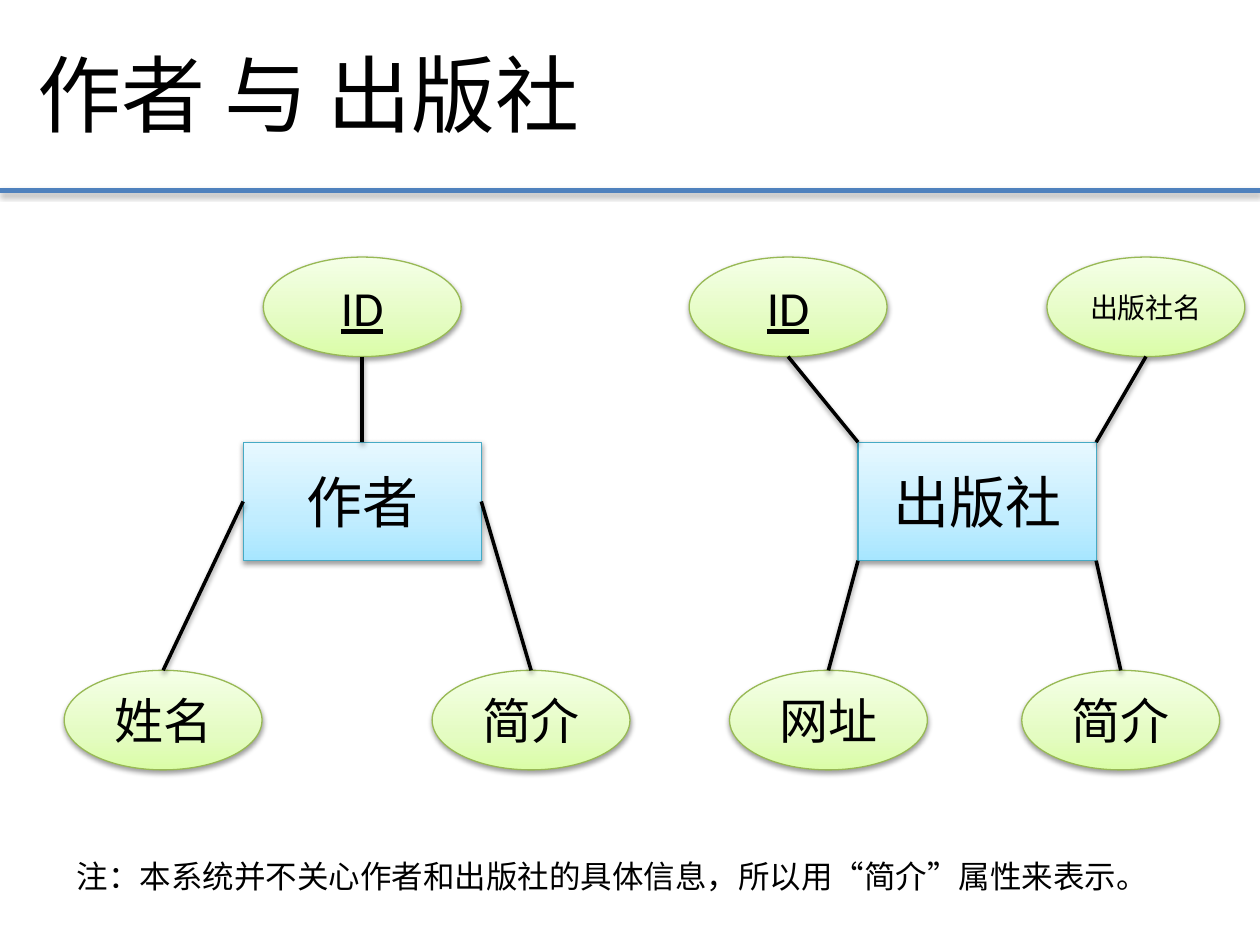
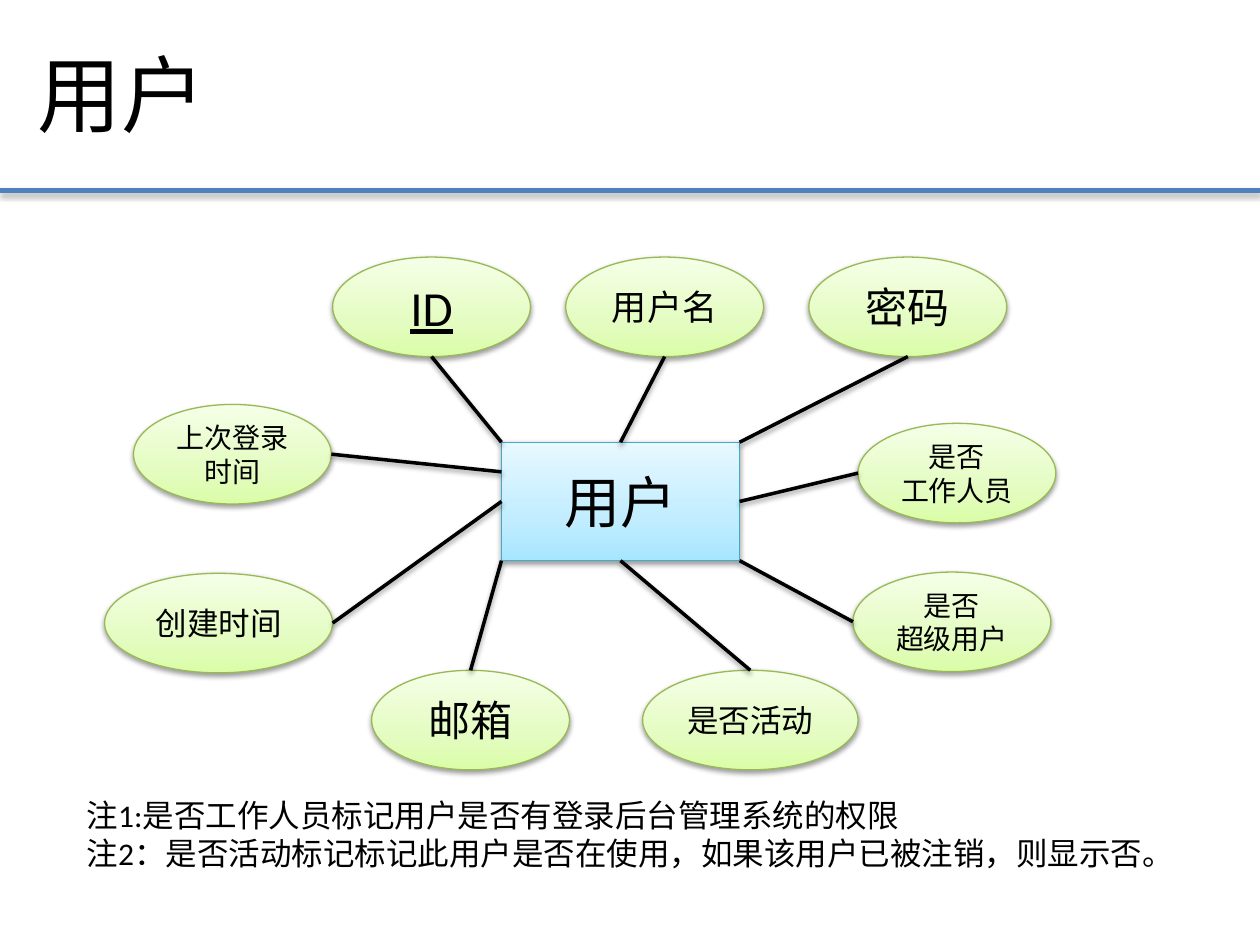
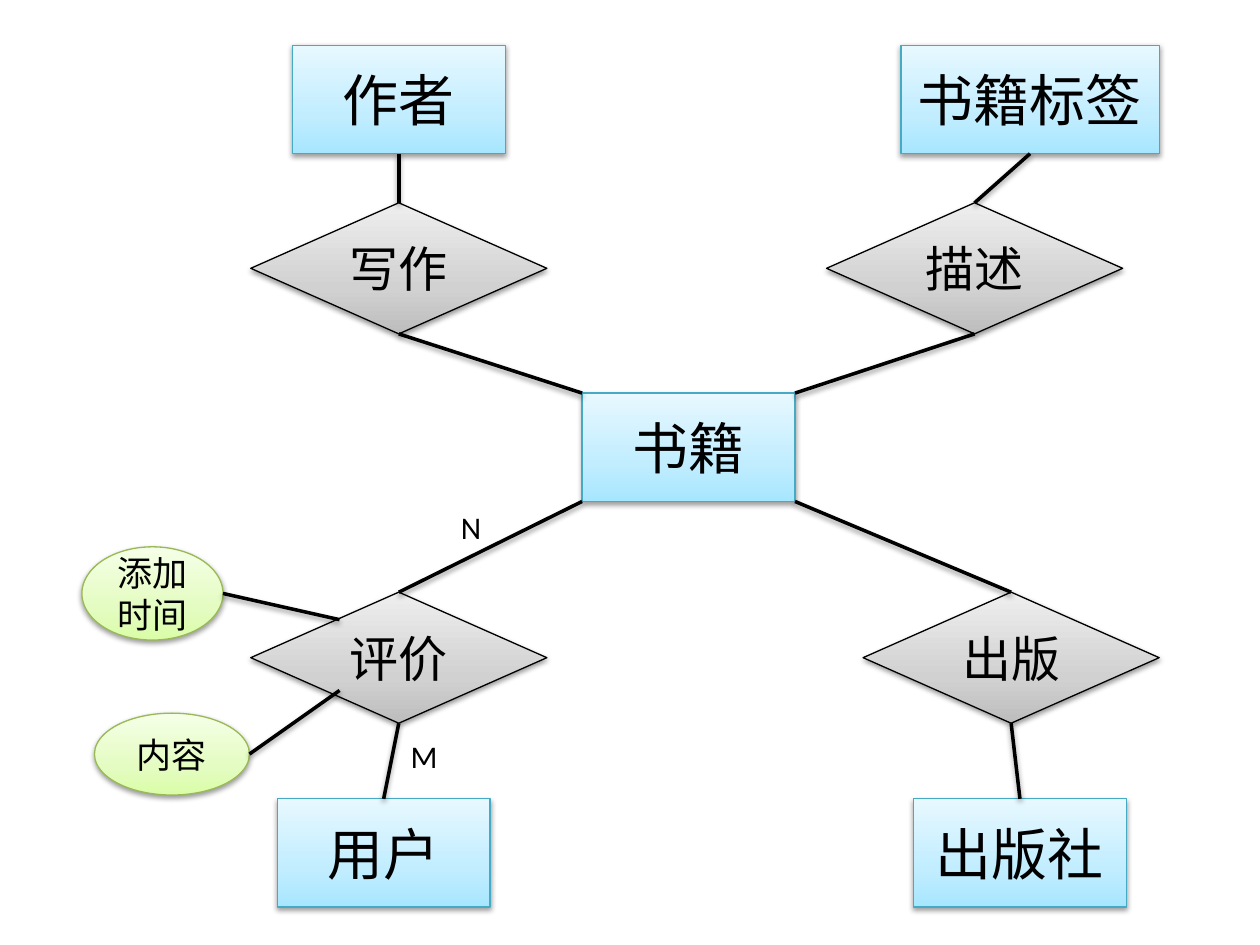
from pptx import Presentation
from pptx.dml.color import RGBColor
from pptx.enum.shapes import MSO_CONNECTOR, MSO_SHAPE
from pptx.enum.text import MSO_ANCHOR, MSO_AUTO_SIZE, PP_ALIGN
from pptx.oxml import parse_xml
from pptx.oxml.ns import nsdecls, qn
from pptx.util import Inches, Pt

# Shared look
COLORS = {"text": "000000", "link": "000000", "paper": "FFFFFF", "rule": "4F81BD"}
FONT, TITLE_FONT = "Calibri", "Noto Sans CJK JP"
TITLE_BOX = (0.2, 0.29, 9.37, 0.91)
RULE_Y = 1.51

# Diagram kinds: preset, gradient from bottom to top, outline, default text size
KINDS = {
    "entity": (MSO_SHAPE.RECTANGLE, ("A7E6FF", "C1EDFF", "E7F8FF"), "46AAC5", 32),
    "attribute": (MSO_SHAPE.OVAL, ("DAFDA7", "E4FCC2", "F5FFE7"), "98B955", 28),
    "relation": (MSO_SHAPE.DIAMOND, ("BDBDBD", "D1D1D1", "EEEEEE"), "000000", 28),
}
STOPS = (0, 35, 100)

# Anchor points as fractions of a node's width and height
T, B, L, R = (0.5, 0), (0.5, 1), (0, 0.5), (1, 0.5)
TL, TR, BL, BR = (0, 0), (1, 0), (0, 1), (1, 1)

# Node sizes and rows
ENTITY, ATTR, RELATION, SMALL_ENTITY = (1.89, 0.94), (1.57, 0.79), (2.35, 1.04), (1.69, 0.86)
UPPER, MIDDLE, LOWER = 2.04, 3.51, 5.32

# Nodes: key -> (kind, text, (left, top), (width, height)[, text size])
# Links: (from key, anchor, to key, anchor)
# Notes: (text, left, top, width, height)
SLIDES = [
    {
        "title": "作者 与 出版社",
        "nodes": {
            "author": ("entity", "作者", (1.93, MIDDLE), ENTITY),
            "author id": ("attribute", "ID", (2.09, UPPER), ATTR),
            "name": ("attribute", "姓名", (0.51, LOWER), ATTR),
            "author intro": ("attribute", "简介", (3.43, LOWER), ATTR),
            "press": ("entity", "出版社", (6.81, MIDDLE), ENTITY),
            "press id": ("attribute", "ID", (5.47, UPPER), ATTR),
            "press intro": ("attribute", "简介", (8.11, LOWER), ATTR),
            "press name": ("attribute", "出版社名", (8.31, UPPER), ATTR, 16),
            "site": ("attribute", "网址", (5.79, LOWER), ATTR),
        },
        "links": [
            ("author id", B, "author", T), ("author", L, "name", T),
            ("author", R, "author intro", T), ("press id", B, "press", TL),
            ("press name", B, "press", TR), ("press", BL, "site", T),
            ("press", BR, "press intro", T),
        ],
        "notes": [("注：本系统并不关心作者和出版社的具体信息，所以用“简介”属性来表示。",
                   0.51, 6.75, 9.06, 0.4)],
    },
    {
        "title": "用户",
        "nodes": {
            "user": ("entity", "用户", (3.98, MIDDLE), ENTITY),
            "id": ("attribute", "ID", (2.64, UPPER), ATTR),
            "password": ("attribute", "密码", (6.42, UPPER), ATTR, 24),
            "user name": ("attribute", "用户名", (4.49, UPPER), ATTR, 20),
            "mail": ("attribute", "邮箱", (2.95, LOWER), ATTR, 24),
            "staff": ("attribute", "是否\n工作人员", (6.81, 3.36), ATTR, 16),
            "superuser": ("attribute", "是否\n超级用户", (6.77, 4.54), ATTR, 16),
            "active": ("attribute", "是否活动", (5.1, LOWER), (1.71, 0.79), 18),
            "last login": ("attribute", "上次登录时间", (1.06, 3.21), ATTR, 16),
            "created": ("attribute", "创建时间", (0.83, 4.55), (1.81, 0.79), 18),
        },
        "links": [
            ("id", B, "user", TL), ("user name", B, "user", T),
            ("user", BL, "mail", T), ("password", B, "user", TR),
            ("last login", R, "user", (0, 0.25)), ("created", R, "user", L),
            ("user", B, "active", T), ("user", BR, "superuser", L),
            ("user", R, "staff", L),
        ],
        "notes": [("注1:是否工作人员标记用户是否有登录后台管理系统的权限\n"
                   "注2：是否活动标记标记此用户是否在使用，如果该用户已被注销，则显示否。",
                   0.59, 6.27, 8.66, 0.71)],
    },
    {
        "title": None,
        "nodes": {
            "book": ("entity", "书籍", (4.62, 3.12), SMALL_ENTITY),
            "write": ("relation", "写作", (1.99, 1.61), RELATION),
            "describe": ("relation", "描述", (6.56, 1.61), RELATION),
            "review": ("relation", "评价", (1.99, 4.7), RELATION),
            "publish": ("relation", "出版", (6.85, 4.7), RELATION),
            "author": ("entity", "作者", (2.32, 0.36), SMALL_ENTITY),
            "tag": ("entity", "书籍标签", (7.15, 0.36), (2.05, 0.86)),
            "user": ("entity", "用户", (2.2, 6.34), SMALL_ENTITY),
            "press": ("entity", "出版社", (7.25, 6.34), SMALL_ENTITY),
            "content": ("attribute", "内容", (0.75, 5.66), (1.23, 0.65), 20),
            "added": ("attribute", "添加时间", (0.65, 4.34), (1.12, 0.74), 20),
        },
        "links": [
            ("write", B, "book", TL), ("describe", B, "book", TR),
            ("book", BL, "review", T), ("book", BR, "publish", T),
            ("author", B, "write", T), ("tag", B, "describe", T),
            ("review", B, "user", T), ("press", T, "publish", B),
            ("added", R, "review", (0.3, 0.21)),
            ("content", R, "review", (0.3, 0.75)),
        ],
        "notes": [("N", 3.56, 3.98, 0.55, 0.4), ("M", 3.16, 5.8, 0.55, 0.4)],
    },
]


def rgb(value):
    return RGBColor.from_string(value)


def add_shadow(sp, alpha=38, dist=1.6):
    """Soft shadow straight below the shape."""
    sp._element.spPr.append(parse_xml(
        f'<a:effectLst {nsdecls("a")}><a:outerShdw blurRad="{Pt(3.1)}" dist="{Pt(dist)}" '
        f'dir="5400000" rotWithShape="0"><a:srgbClr val="000000">'
        f'<a:alpha val="{alpha * 1000}"/></a:srgbClr></a:outerShdw></a:effectLst>'))


def add_gradient(sp, colors):
    stops = "".join(f'<a:gs pos="{pos * 1000}"><a:srgbClr val="{c}"/></a:gs>'
                    for pos, c in zip(STOPS, colors))
    sp._element.spPr.find(qn("a:prstGeom")).addnext(parse_xml(
        f'<a:gradFill {nsdecls("a")} rotWithShape="1"><a:gsLst>{stops}</a:gsLst>'
        f'<a:lin ang="16200000" scaled="0"/></a:gradFill>'))


def write(tf, text, size, font=FONT, align=PP_ALIGN.LEFT, underline=None):
    tf.text = text
    tf.word_wrap = True
    for p in tf.paragraphs:
        p.alignment = align
        for r in p.runs:
            r.font.name, r.font.size = font, Pt(size)
            r.font.underline = underline
            r.font.color.rgb = rgb(COLORS["text"])


def add_line(slide, start, end, color, width, **shadow):
    line = slide.shapes.add_connector(MSO_CONNECTOR.STRAIGHT, *map(Inches, start + end))
    line.line.color.rgb = rgb(color)
    line.line.width = Pt(width)
    add_shadow(line, **shadow)


def add_title(slide, text):
    sp = slide.shapes.title
    sp.left, sp.top, sp.width, sp.height = map(Inches, TITLE_BOX)
    sp.fill.solid()
    sp.fill.fore_color.rgb = rgb(COLORS["paper"])
    sp.line.color.rgb = rgb(COLORS["paper"])
    sp.line.width = Pt(2)
    tf = sp.text_frame
    write(tf, text, 48, TITLE_FONT)
    tf.vertical_anchor = MSO_ANCHOR.TOP
    tf.auto_size = MSO_AUTO_SIZE.NONE
    add_line(slide, (0, RULE_Y), (10, RULE_Y), COLORS["rule"], 3, alpha=35, dist=1.8)


def add_node(slide, kind, text, pos, dims, size=None):
    preset, gradient, outline, default_size = KINDS[kind]
    sp = slide.shapes.add_shape(preset, *map(Inches, pos + dims))
    add_gradient(sp, gradient)
    sp.line.color.rgb = rgb(outline)
    sp.line.width = Pt(0.75)
    add_shadow(sp)
    sp.text_frame.vertical_anchor = MSO_ANCHOR.MIDDLE
    # Key attributes are underlined
    write(sp.text_frame, text, size or default_size, align=PP_ALIGN.CENTER,
          underline=True if text == "ID" else None)


def anchor_point(node, anchor):
    pos, dims = node[2:4]
    return tuple(p + d * a for p, d, a in zip(pos, dims, anchor))


def add_note(slide, text, *box):
    tf = slide.shapes.add_textbox(*map(Inches, box)).text_frame
    write(tf, text, 18)
    tf.auto_size = MSO_AUTO_SIZE.SHAPE_TO_FIT_TEXT


# Build the slides
prs = Presentation()
prs.slide_width, prs.slide_height = Inches(10), Inches(7.5)
TITLE_ONLY, BLANK = prs.slide_layouts[5], prs.slide_layouts[6]

for content in SLIDES:
    slide = prs.slides.add_slide(TITLE_ONLY if content["title"] else BLANK)
    if content["title"]:
        add_title(slide, content["title"])
    nodes = content["nodes"]
    for node in nodes.values():
        add_node(slide, *node)
    for start, start_anchor, end, end_anchor in content["links"]:
        add_line(slide, anchor_point(nodes[start], start_anchor),
                 anchor_point(nodes[end], end_anchor), COLORS["link"], 2)
    for note in content["notes"]:
        add_note(slide, *note)

prs.save("out.pptx")
